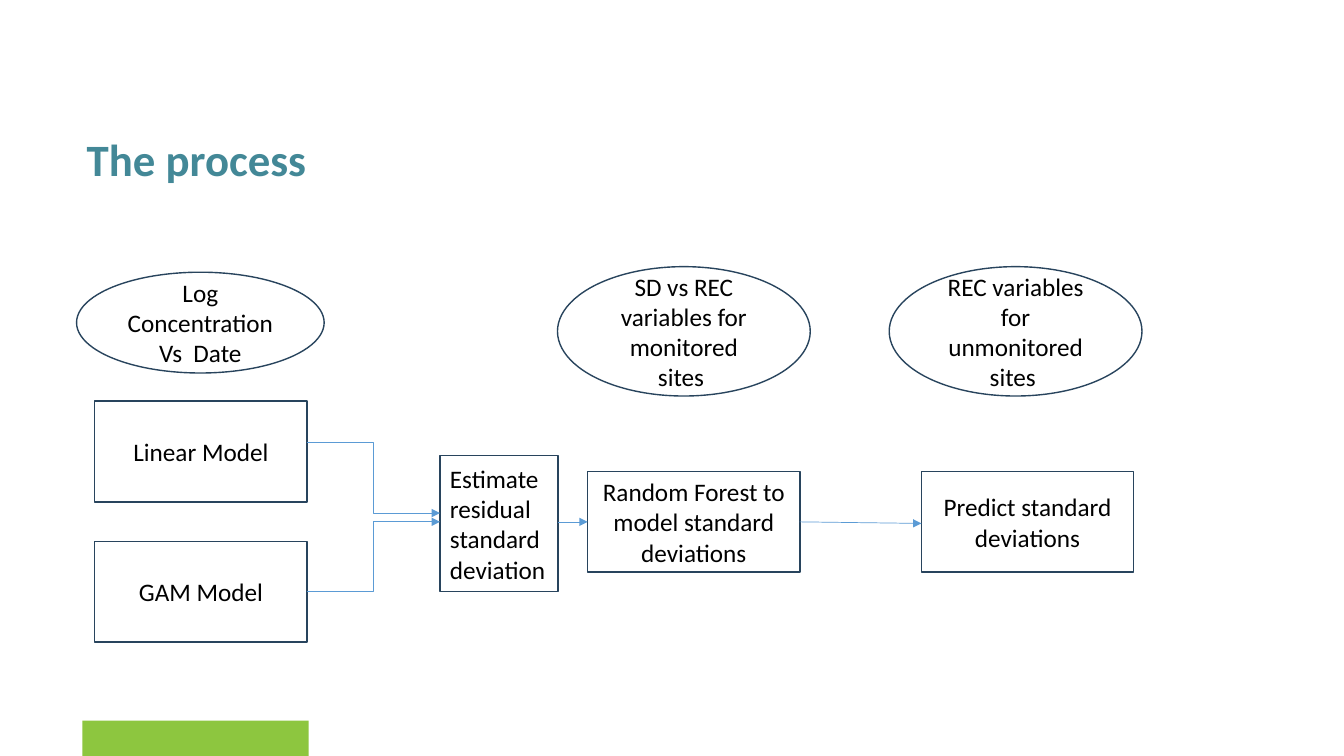
"""Builds the process slide: two models feed a chain of estimation steps."""
from dataclasses import dataclass

from lxml import etree
from pptx import Presentation
from pptx import util as u
from pptx.dml.color import RGBColor
from pptx.enum import shapes, text
from pptx.oxml import ns


@dataclass(frozen=True)
class Theme:
    font: str = "Calibri"
    title_size: int = 32
    body_size: int = 18
    title: str = "438897"
    ink: str = "000000"
    paper: str = "FFFFFF"
    outline: str = "28445D"
    arrow: str = "5B9BD5"
    band: str = "8DC63F"


theme = Theme()
RECT = shapes.MSO_SHAPE.RECTANGLE
OVAL = shapes.MSO_SHAPE.OVAL
ELBOW = shapes.MSO_CONNECTOR.ELBOW
STRAIGHT = shapes.MSO_CONNECTOR.STRAIGHT
LEFT, CENTER = text.PP_ALIGN.LEFT, text.PP_ALIGN.CENTER


def write(box, lines, align, anchor, size, color, bold=False):
    frame = box.text_frame
    frame.word_wrap = True
    frame.auto_size = text.MSO_AUTO_SIZE.NONE
    frame.vertical_anchor = anchor
    frame.text = "\n".join(lines)
    formats = {"name": theme.font, "size": u.Pt(size), "bold": bold}
    for para in frame.paragraphs:
        para.alignment = align
        for span in para.runs:
            for key, value in formats.items():
                setattr(span.font, key, value)
            span.font.color.rgb = RGBColor.from_string(color)


def add_box(kind, place, fill):
    box = page.shapes.add_shape(kind, *map(u.Cm, place))
    box.shadow.inherit = False
    box.fill.solid()
    box.fill.fore_color.rgb = RGBColor.from_string(fill)
    return box


deck = Presentation()
deck.slide_width, deck.slide_height = u.Cm(33.87), u.Cm(19.05)
page = deck.slides.add_slide(deck.slide_layouts[5])

band = add_box(RECT, (2.08, 18.16, 5.7, 0.89), theme.band)
band.line.fill.background()

title = page.shapes.title
title_place = {"left": 1.93, "top": 3.35, "width": 30.02, "height": 2.44}
for side, length in title_place.items():
    setattr(title, side, u.Cm(length))
write(title, ["The process"], LEFT, text.MSO_ANCHOR.TOP, theme.title_size, theme.title, True)
title.text_frame.paragraphs[0].line_spacing = 0.9

step_size = (5.35, 2.54)
input_size = (6.37, 3.26)
nodes = [
    (RECT, (2.39, 10.11, *step_size), ["Linear Model"], CENTER),
    (RECT, (2.39, 13.64, *step_size), ["GAM Model"], CENTER),
    (RECT, (11.09, 11.48, 2.97, 3.43), ["Estimate residual standard deviation"], LEFT),
    (RECT, (14.81, 11.88, *step_size), ["Random Forest to model standard deviations"], CENTER),
    (RECT, (23.22, 11.88, *step_size), ["Predict standard deviations"], CENTER),
    (OVAL, (1.93, 6.86, 6.24, 2.54), ["Log Concentration", "Vs  Date"], CENTER),
    (OVAL, (14.05, 6.72, *input_size), ["SD vs REC variables for monitored sites "], CENTER),
    (OVAL, (22.41, 6.72, *input_size), ["REC variables for unmonitored sites "], CENTER),
]
for kind, place, lines, align in nodes:
    box = add_box(kind, place, theme.paper)
    box.line.color.rgb = RGBColor.from_string(theme.outline)
    box.line.width = u.Pt(1)
    write(box, lines, align, text.MSO_ANCHOR.MIDDLE, theme.body_size, theme.ink)

arrows = [
    (ELBOW, (7.73, 11.15, 11.09, 12.93)),
    (ELBOW, (7.73, 14.91, 11.09, 13.15)),
    (STRAIGHT, (14.06, 13.15, 14.81, 13.15)),
    (STRAIGHT, (20.15, 13.15, 23.22, 13.19)),
]
for kind, ends in arrows:
    arrow = page.shapes.add_connector(kind, *map(u.Cm, ends))
    arrow.line.color.rgb = RGBColor.from_string(theme.arrow)
    arrow.line.width = u.Pt(0.5)
    etree.SubElement(arrow.line._get_or_add_ln(), ns.qn("a:tailEnd"), type="triangle")
    etree.SubElement(arrow._element.spPr, ns.qn("a:effectLst"))

deck.save("out.pptx")
